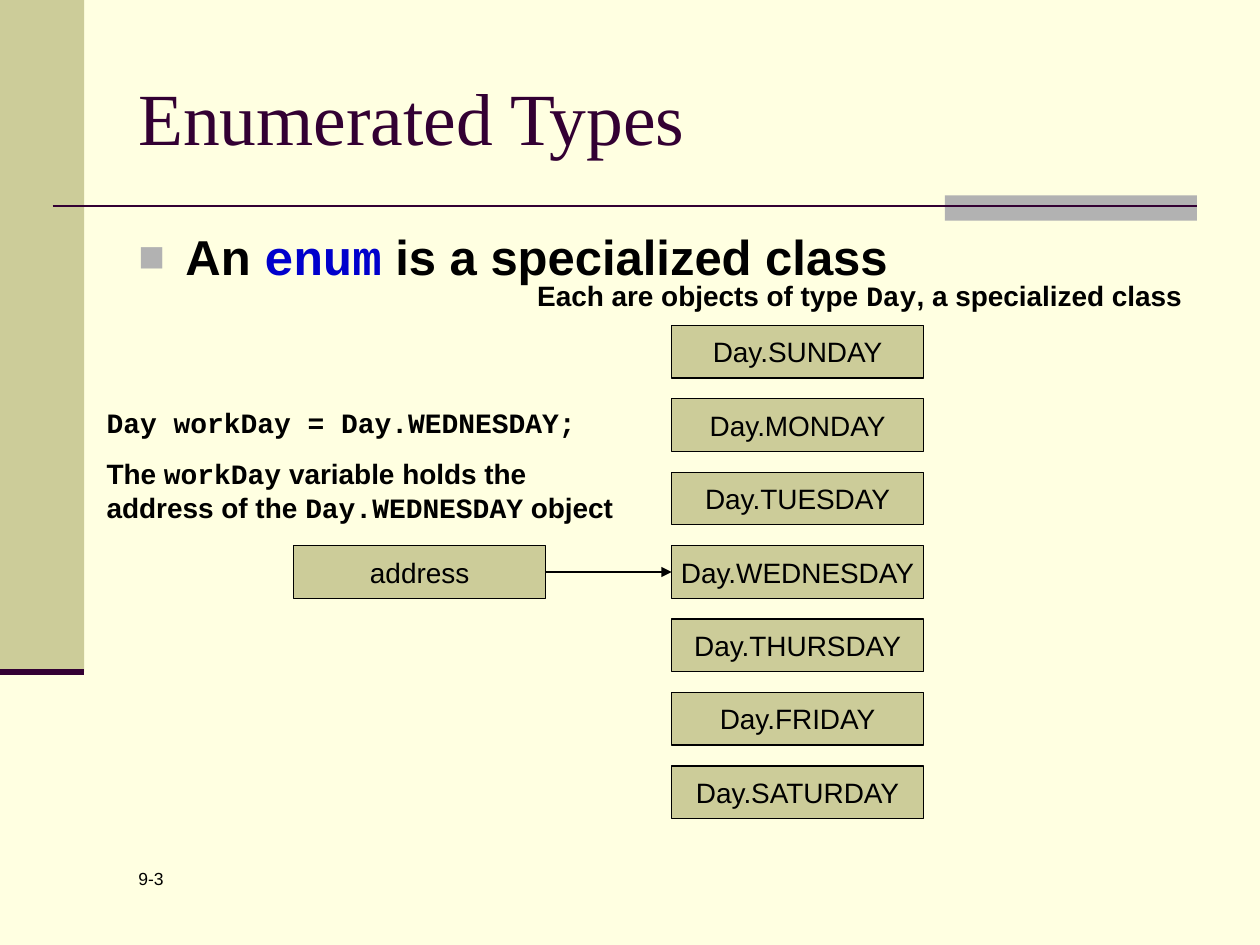
from lxml import etree
from pptx import Presentation
from pptx.dml.color import RGBColor
from pptx.enum.shapes import MSO_CONNECTOR, MSO_SHAPE
from pptx.enum.text import MSO_ANCHOR, PP_ALIGN
from pptx.oxml.ns import qn
from pptx.util import Cm, Pt

STRAIGHT = MSO_CONNECTOR.STRAIGHT
RECTANGLE = MSO_SHAPE.RECTANGLE
PROCESS = MSO_SHAPE.FLOWCHART_PROCESS
TOP, MIDDLE = MSO_ANCHOR.TOP, MSO_ANCHOR.MIDDLE
LEFT, CENTER = PP_ALIGN.LEFT, PP_ALIGN.CENTER

CREAM = RGBColor(0xFF, 0xFF, 0xE1)
KHAKI = RGBColor(0xCC, 0xCC, 0x99)
GRAY = RGBColor(0xB2, 0xB2, 0xB2)
PLUM = RGBColor(0x33, 0x00, 0x33)
BLUE = RGBColor(0x00, 0x00, 0xCC)
BLACK = RGBColor(0x00, 0x00, 0x00)

SANS, MONO, SERIF = "Arial", "Courier New", "Times New Roman"
DAYS = ["SUNDAY", "MONDAY", "TUESDAY", "WEDNESDAY", "THURSDAY", "FRIDAY", "SATURDAY"]
BOX_WIDTH, BOX_HEIGHT, DAY_PITCH = 5.08, 1.06, 1.48


def add_bullet(paragraph, char, color, percent, indent):
    """Give a paragraph a coloured bullet with a hanging indent."""
    properties = paragraph._p.get_or_add_pPr()
    properties.set("marL", str(Cm(indent)))
    properties.set("indent", str(-Cm(indent)))
    bullet_color = etree.SubElement(properties, qn("a:buClr"))
    etree.SubElement(bullet_color, qn("a:srgbClr"), val=str(color))
    etree.SubElement(properties, qn("a:buSzPct"), val=str(percent * 1000))
    etree.SubElement(properties, qn("a:buFont"), typeface=SANS)
    etree.SubElement(properties, qn("a:buChar"), char=char)


def write_text(frame, paragraphs, size=16, font=SANS, color=BLACK, bold=False,
               align=LEFT, anchor=TOP, wrap=True, gap=0, bullet=None):
    """Fill a frame with paragraphs made of (text, run format) pairs."""
    frame.word_wrap = wrap
    frame.vertical_anchor = anchor
    for index, runs in enumerate(paragraphs):
        paragraph = frame.paragraphs[0] if index == 0 else frame.add_paragraph()
        if bullet:
            add_bullet(paragraph, **bullet)
        paragraph.alignment = align
        if index:
            paragraph.space_before = Pt(gap)
        for text, style in runs:
            run = paragraph.add_run()
            run.text = text
            run.font.size = Pt(size)
            run.font.bold = bold
            run.font.name = style.get("font", font)
            run.font.color.rgb = style.get("color", color)


def add_text(slide, left, top, width, height, paragraphs, **text_format):
    """Place a text box and write its paragraphs."""
    box = slide.shapes.add_textbox(Cm(left), Cm(top), Cm(width), Cm(height))
    write_text(box.text_frame, paragraphs, **text_format)


def add_block(slide, left, top, width, height, fill, preset=RECTANGLE):
    """Place a filled shape without an outline."""
    block = slide.shapes.add_shape(preset, Cm(left), Cm(top), Cm(width), Cm(height))
    block.shadow.inherit = False
    block.fill.solid()
    block.fill.fore_color.rgb = fill
    block.line.fill.background()
    return block


def add_box(slide, left, top, label):
    """Place an outlined process box with a centred label."""
    box = add_block(slide, left, top, BOX_WIDTH, BOX_HEIGHT, KHAKI, PROCESS)
    box.line.color.rgb = BLACK
    box.line.width = Pt(0.75)
    write_text(box.text_frame, [[(label, {})]], align=CENTER, anchor=MIDDLE, wrap=False)
    return box


def add_line(slide, start_x, start_y, end_x, end_y, color, weight):
    """Place a straight line without a shadow."""
    line = slide.shapes.add_connector(
        STRAIGHT, Cm(start_x), Cm(start_y), Cm(end_x), Cm(end_y))
    line.line.color.rgb = color
    line.line.width = Pt(weight)
    etree.SubElement(line._element.spPr, qn("a:effectLst"))
    return line


def add_arrow(slide, source, target):
    """Join the right side of one box to the left side of another."""
    arrow = add_line(slide, 0, 0, 1, 0, BLACK, 0.75)
    arrow.begin_connect(source, 3)
    arrow.end_connect(target, 1)
    etree.SubElement(arrow.line._get_or_add_ln(), qn("a:tailEnd"), type="triangle")


def draw_decoration(slide, left, top, width, height):
    """Draw the side band, the title rule and its gray accent."""
    band_width, band_bottom, rule_y = 1.7, top + 13.55, top + 4.15
    add_block(slide, left, top, band_width, band_bottom - top, KHAKI)
    add_block(slide, left + width - 6.35, top + 3.94, 5.08, 0.51, GRAY)
    add_line(slide, left + 1.06, rule_y, left + width - 1.27, rule_y, PLUM, 1.5)
    add_line(slide, left, band_bottom, left + band_width, band_bottom, PLUM, 3.5)


def draw_headings(slide, left, top, width, height):
    """Write the title and the bulleted statement below it."""
    title_height = 3.18
    add_text(slide, left, top, width, title_height, [[("Enumerated Types", {})]],
             size=42, font=SERIF, color=PLUM, anchor=MIDDLE)
    statement = [("An ", {}), ("enum", {"font": MONO, "color": BLUE}),
                 (" is a specialized class", {})]
    add_text(slide, left, top + 3.69, width, height - 3.69, [statement],
             size=28, bold=True,
             bullet={"char": "■", "color": GRAY, "percent": 90, "indent": 0.95})


def draw_days(slide, left, top, width, height):
    """Draw the captioned column of day objects and return them by name."""
    caption = [("Each are objects of type ", {}), ("Day", {"font": MONO}),
               (", a specialized class", {})]
    add_text(slide, left, top, width, 0.94, [caption], bold=True)
    return {day: add_box(slide, left + 2.96, top + 1.06 + index * DAY_PITCH, f"Day.{day}")
            for index, day in enumerate(DAYS)}


def draw_variable(slide, left, top, width, height):
    """Write the declaration with its explanation and return the address box."""
    code = {"font": MONO}
    declaration = [("Day workDay = Day.WEDNESDAY;", code)]
    explanation = [("The ", {}), ("workDay", code),
                   (" variable holds the address of the ", {}),
                   ("Day.WEDNESDAY", code), (" object", {})]
    add_text(slide, left, top, width, 2.64, [declaration, explanation], bold=True, gap=10)
    return add_box(slide, left + 4.02, top + height - BOX_HEIGHT, "address")


def main():
    """Build the slide and save it."""
    deck = Presentation()
    deck.slide_width, deck.slide_height = Cm(25.4), Cm(19.05)
    slide = deck.slides.add_slide(deck.slide_layouts[6])
    slide.background.fill.solid()
    slide.background.fill.fore_color.rgb = CREAM

    draw_decoration(slide, 0, 0, 25.4, 19.05)
    add_text(slide, 2.54, 17.37, 5.5, 1.27, [[("9-3", {})]], size=10)
    draw_headings(slide, 2.54, 0.76, 21.59, 16.26)
    days = draw_days(slide, 10.58, 5.5, 14.18, 11)
    address = draw_variable(slide, 1.9, 8.05, 11.23, 4.01)
    add_arrow(slide, address, days["WEDNESDAY"])
    deck.save("out.pptx")


if __name__ == "__main__":
    main()
